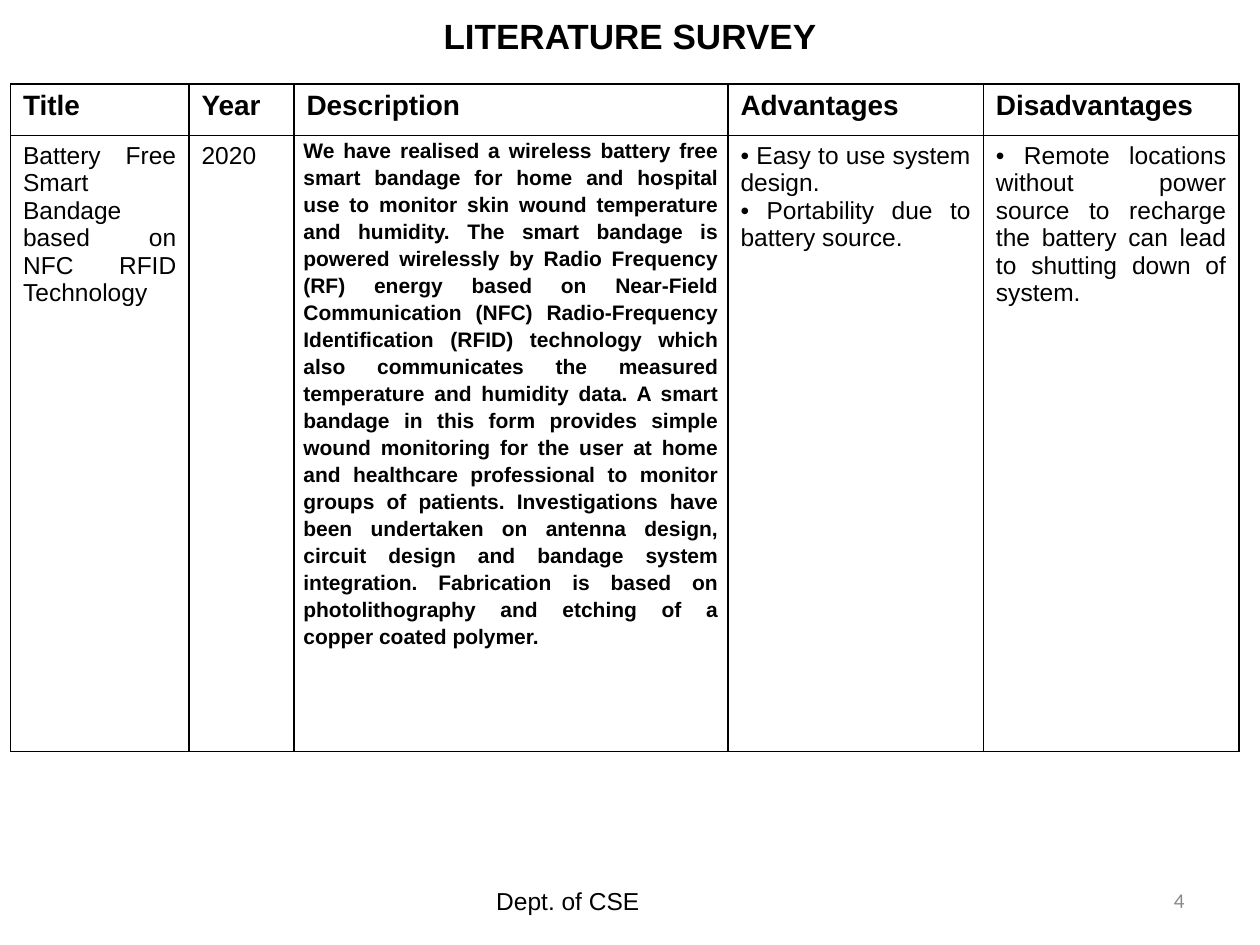
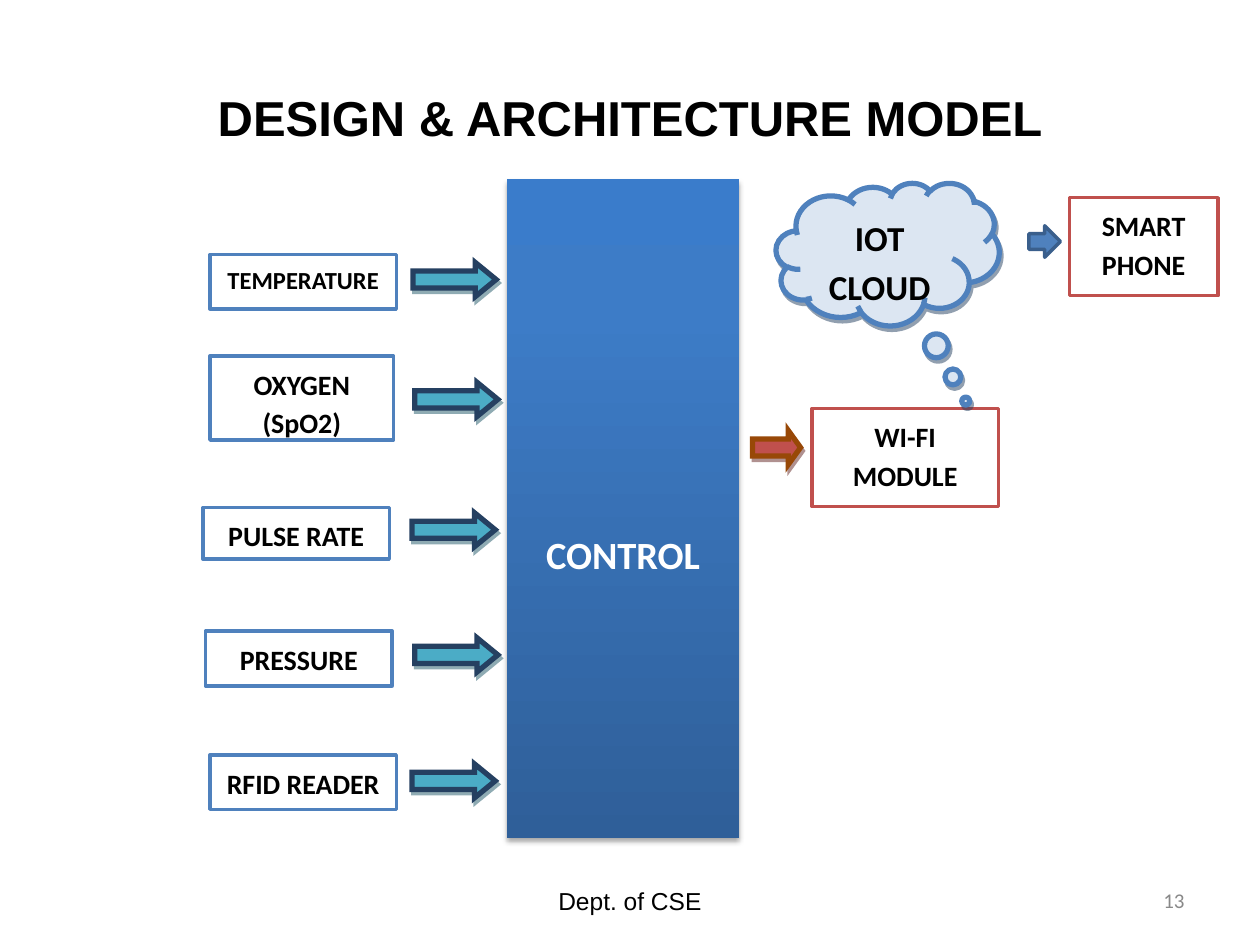
from dataclasses import dataclass

from lxml import etree
from pptx import Presentation
from pptx.dml.color import RGBColor
from pptx.enum.shapes import MSO_SHAPE
from pptx.enum.text import MSO_ANCHOR, MSO_AUTO_SIZE, PP_ALIGN
from pptx.oxml.ns import qn
from pptx.util import Pt

RECTANGLE = MSO_SHAPE.RECTANGLE
ARROW = MSO_SHAPE.RIGHT_ARROW
CLOUD = MSO_SHAPE.CLOUD_CALLOUT
TOP, MIDDLE = MSO_ANCHOR.TOP, MSO_ANCHOR.MIDDLE
CENTER, RIGHT, JUSTIFY = PP_ALIGN.CENTER, PP_ALIGN.RIGHT, PP_ALIGN.JUSTIFY
NO_AUTOFIT = MSO_AUTO_SIZE.NONE

SANS, BODY = "Arial", "Calibri"
BLACK, WHITE, GREY = "000000", "FFFFFF", "898989"
BLUE, RED, TEAL, NAVY = "4F81BD", "C0504D", "4BACC6", "254061"
TITLE_ONLY = 5


@dataclass
class Box:
    """A rectangle in points."""
    left: float
    top: float
    width: float
    height: float

    def inner(self, left, top, width, height):
        """Return a box whose place is given from this box's corner."""
        return Box(self.left + left, self.top + top, width, height)

    def lengths(self):
        """Return the four lengths for python-pptx."""
        return [Pt(n) for n in (self.left, self.top, self.width, self.height)]


FOOTER = Box(36, 500, 648, 29)


def color(value):
    """Turn a hex string into a colour."""
    return RGBColor.from_string(value)


def write(frame, text, size, font=SANS, ink=BLACK, bold=False, align=CENTER,
          spacing=None, after=None):
    """Fill a text frame and format all its paragraphs alike."""
    frame.word_wrap = True
    frame.text = text
    for para in frame.paragraphs:
        para.alignment = align
        para.line_spacing = spacing
        if after is not None:
            para.space_after = Pt(after)
        for span in para.runs:
            span.font.size = Pt(size)
            span.font.name = font
            span.font.bold = bold
            span.font.color.rgb = color(ink)


def set_insets(frame, left, top, right, bottom):
    """Set the four insets of a text frame or table cell."""
    frame.margin_left, frame.margin_top = Pt(left), Pt(top)
    frame.margin_right, frame.margin_bottom = Pt(right), Pt(bottom)


def add_title(page, box, text, size):
    """Move the title placeholder into the box and write it."""
    title = page.shapes.title
    title.left, title.top, title.width, title.height = box.lengths()
    frame = title.text_frame
    frame.auto_size = NO_AUTOFIT
    frame.vertical_anchor = MIDDLE
    set_insets(frame, 7.2, 7.2, 7.2, 7.2)
    write(frame, text, size, bold=True)


def add_footer(page, box, number, right_inset=7.2):
    """Add the department name and the page number along the box."""
    name = page.shapes.add_textbox(*box.inner(210, 0, 228, box.height).lengths())
    set_insets(name.text_frame, 7.2, 7.2, right_inset, 7.2)
    write(name.text_frame, "Dept. of CSE", 14)
    place = box.inner(box.width - 168, 0, 168, box.height)
    counter = page.shapes.add_textbox(*place.lengths())
    write(counter.text_frame, number, 12, BODY, GREY, align=RIGHT)
    for label in (name, counter):
        label.text_frame.vertical_anchor = MIDDLE


def add_border(cell, width=1):
    """Draw black lines on the four sides of a table cell."""
    properties = cell._tc.get_or_add_tcPr()
    for index, side in enumerate(("a:lnL", "a:lnR", "a:lnT", "a:lnB")):
        line = etree.Element(qn(side), w=str(Pt(width)))
        fill = etree.SubElement(line, qn("a:solidFill"))
        etree.SubElement(fill, qn("a:srgbClr"), val=BLACK)
        properties.insert(index, line)


def add_survey_table(page, box, headings, entry):
    """Add the survey table: a heading row over one long entry."""
    widths = (102, 60, 248, 146, 146)
    heights = (29.5, box.height - 29.5)
    table = page.shapes.add_table(2, len(widths), *box.lengths()).table
    for column, width in zip(table.columns, widths):
        column.width = Pt(width)
    for row, height, texts, size in zip(table.rows, heights, (headings, entry), (16, 14)):
        row.height = Pt(height)
        for cell, text in zip(row.cells, texts):
            cell.fill.solid()
            cell.fill.fore_color.rgb = color(WHITE)
            add_border(cell)
            write(cell.text_frame, text, size, bold=size == 16, align=JUSTIFY)
    description = table.cell(1, 2)
    set_insets(description, 5.4, 0, 5.4, 0)
    write(description.text_frame, entry[2], 12, bold=True, align=JUSTIFY, spacing=1.15)


def add_shadow(shape, ink, alpha, blur, distance, angle):
    """Give a shape an outer shadow."""
    effects = shape._element.spPr.find(qn("a:effectLst"))
    shadow = etree.SubElement(
        effects, qn("a:outerShdw"), blurRad=str(Pt(blur)), dist=str(Pt(distance)),
        dir=str(angle * 60000), algn="ctr", rotWithShape="0")
    shade = etree.SubElement(shadow, qn("a:srgbClr"), val=ink)
    etree.SubElement(shade, qn("a:alpha"), val=str(alpha * 1000))


def add_figure(shapes, kind, box, fill, line=None, width=2, adjust=(), shadow=None):
    """Add a preset shape with a flat fill, an outline and maybe a shadow."""
    figure = shapes.add_shape(kind, *box.lengths())
    for index, value in enumerate(adjust):
        figure.adjustments[index] = value
    figure.fill.solid()
    figure.fill.fore_color.rgb = color(fill)
    if line:
        figure.line.color.rgb = color(line)
        figure.line.width = Pt(width)
    else:
        figure.line.fill.background()
    figure.shadow.inherit = False
    if shadow:
        add_shadow(figure, shadow, 50, 0, 2.2, 63)
    return figure


def add_bold_arrow(shapes, box, fill, line, head, shadow):
    """Add a thick-lined arrow with sharp corners and a shadow."""
    arrow = add_figure(shapes, ARROW, box, fill, line, 3, (0.5, head), shadow)
    outline = arrow._element.spPr.find(qn("a:ln"))
    etree.SubElement(outline, qn("a:miter"), lim="800000")


def add_label(figure, text, size, ink=BLACK):
    """Write a bold label from the top of a shape."""
    figure.text_frame.vertical_anchor = TOP
    write(figure.text_frame, text, size, BODY, ink, True, spacing=1.15, after=10)


def add_module(shapes, box, text, line, size=16):
    """Add a white outlined box with its label."""
    add_label(add_figure(shapes, RECTANGLE, box, WHITE, line), text, size)


def add_board(page, box):
    """Add the shaded controller block."""
    board = add_figure(page.shapes, RECTANGLE, box, BLUE)
    board.fill.gradient()
    board.fill.gradient_angle = 90
    stops = board._element.spPr.find(qn("a:gradFill")).find(qn("a:gsLst"))
    for stop in list(stops):
        stops.remove(stop)
    for position, ink in ((0, "2F5F99"), (80, "3D7CC7"), (100, "3A7CCB")):
        stop = etree.SubElement(stops, qn("a:gs"), pos=str(position * 1000))
        etree.SubElement(stop, qn("a:srgbClr"), val=ink)
    add_shadow(board, BLACK, 35, 3.1, 1.8, 90)
    add_label(board, "CONTROL", 22, WHITE)
    board.text_frame.margin_top = Pt(197)


def add_sensors(page, box):
    """Add the column of sensors and the arrows leading from them."""
    # label, size, box left, top, width, height, arrow left, top
    sensors = (
        ("TEMPERATURE", 14, 4, 0, 106.5, 31, 120, 4.5),
        ("OXYGEN (SpO2)", 16, 4, 58, 105, 48, 121, 73),
        ("PULSE RATE", 16, 0, 144.5, 106.5, 29.5, 119.5, 147.5),
        ("PRESSURE", 16, 1.5, 215, 106.5, 31.5, 121, 219),
        ("RFID READER", 16, 4, 286, 106.5, 31, 119.5, 291),
    )
    modules = page.shapes.add_group_shape().shapes
    arrows = page.shapes.add_group_shape().shapes
    for text, size, left, top, width, height, arrow_left, arrow_top in sensors:
        add_module(modules, box.inner(left, top, width, height), text, BLUE, size)
        add_bold_arrow(arrows, box.inner(arrow_left, arrow_top, 47.5, 19.5),
                       TEAL, NAVY, 0.61, "215968")


def add_network(page, box):
    """Add the wireless module, the cloud and the phone with their arrows."""
    shapes = page.shapes
    add_module(shapes, box.inner(34, 129, 106.5, 56), "WI-FI MODULE", RED)
    cloud = add_figure(shapes, CLOUD, box.inner(13.5, 0, 127.5, 81.5), "DCE6F2",
                       BLUE, 3, (0.35, 1.03), NAVY)
    add_label(cloud, "IOT CLOUD", 20)
    add_bold_arrow(shapes, box.inner(0, 141.5, 27.5, 19.5), RED, "984807", 0.36, "632523")
    add_figure(shapes, ARROW, box.inner(158, 24.5, 18, 18), BLUE, "3A5F8C")
    add_module(shapes, box.inner(181, 8.5, 85, 56), "SMART PHONE", RED)


def survey_slide(deck):
    """Build the literature survey page."""
    page = deck.slides.add_slide(deck.slide_layouts[TITLE_ONLY])
    add_title(page, Box(36, -1.5, 648, 43), "LITERATURE SURVEY", 20)
    add_footer(page, FOOTER, "4", right_inset=78)
    headings = ("Title", "Year", "Description", "Advantages", "Disadvantages")
    description = (
        "We have realised a wireless battery free smart bandage for home and hospital "
        "use to monitor skin wound temperature and humidity. The smart bandage is "
        "powered wirelessly by Radio Frequency (RF) energy based on Near-Field "
        "Communication (NFC) Radio-Frequency Identification (RFID) technology which "
        "also communicates the measured temperature and humidity data. A smart bandage "
        "in this form provides simple wound monitoring for the user at home and "
        "healthcare professional to monitor groups of patients. Investigations have "
        "been undertaken on antenna design, circuit design and bandage system "
        "integration. Fabrication is based on photolithography and etching of a copper "
        "coated polymer.")
    entry = (
        "Battery Free Smart Bandage based on NFC RFID Technology",
        "2020",
        description,
        "• Easy to use system design.\n• Portability due to battery source.",
        "• Remote locations without power source to recharge the battery can lead to "
        "shutting down of system.")
    add_survey_table(page, Box(6, 48, 702, 381.5), headings, entry)


def architecture_slide(deck):
    """Build the design and architecture page."""
    page = deck.slides.add_slide(deck.slide_layouts[TITLE_ONLY])
    add_title(page, Box(36, 22, 648, 90), "DESIGN & ARCHITECTURE MODEL", 28)
    add_footer(page, FOOTER, "13")
    add_board(page, Box(289.5, 102.5, 133, 376.5))
    add_sensors(page, Box(116, 145.5, 168.5, 317))
    add_network(page, Box(430, 104.5, 266, 185))


deck = Presentation()
deck.slide_width, deck.slide_height = Pt(720), Pt(540)
survey_slide(deck)
architecture_slide(deck)
deck.save("out.pptx")
